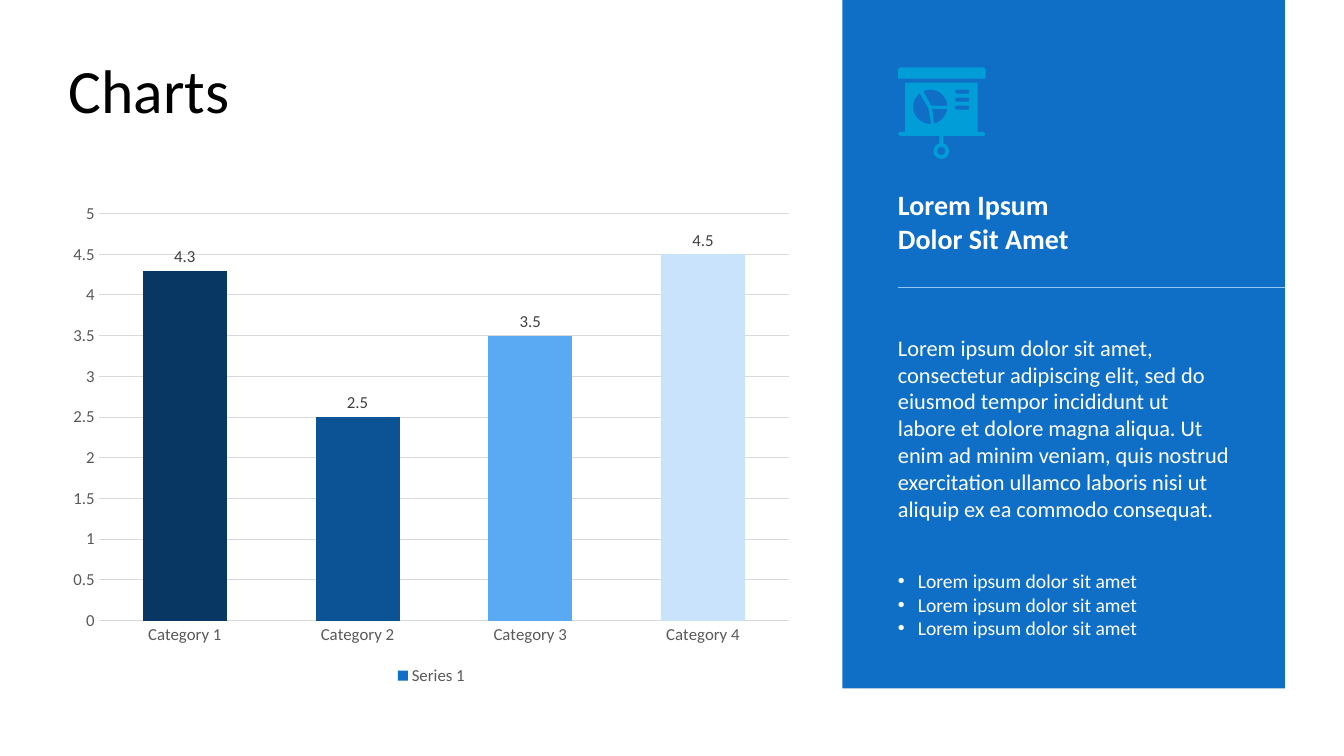
from math import cos, radians, sin

from lxml import etree
from pptx import Presentation
from pptx.chart.data import CategoryChartData
from pptx.dml.color import RGBColor
from pptx.enum.chart import (XL_CHART_TYPE, XL_LABEL_POSITION,
                             XL_LEGEND_POSITION, XL_TICK_MARK)
from pptx.enum.shapes import MSO_CONNECTOR, MSO_SHAPE
from pptx.enum.text import MSO_ANCHOR, MSO_AUTO_SIZE, PP_ALIGN
from pptx.oxml.ns import qn
from pptx.util import Cm, Pt

COLUMN = XL_CHART_TYPE.COLUMN_CLUSTERED
OUTSIDE = XL_LABEL_POSITION.OUTSIDE_END
BELOW = XL_LEGEND_POSITION.BOTTOM
NO_TICK = XL_TICK_MARK.NONE
LINE = MSO_CONNECTOR.STRAIGHT
RECT = MSO_SHAPE.RECTANGLE
MIDDLE, BOTTOM = MSO_ANCHOR.MIDDLE, MSO_ANCHOR.BOTTOM
LEFT = PP_ALIGN.LEFT
FIT = MSO_AUTO_SIZE.SHAPE_TO_FIT_TEXT

BLACK = RGBColor(0x00, 0x00, 0x00)
WHITE = RGBColor(0xFF, 0xFF, 0xFF)
BLUE = RGBColor(0x0F, 0x6F, 0xC6)
CYAN = RGBColor(0x00, 0x9D, 0xD9)
PALE = RGBColor(0x91, 0xC6, 0xF7)
GREY = RGBColor(0x59, 0x59, 0x59)
DARK = RGBColor(0x40, 0x40, 0x40)
GRID = RGBColor(0xD9, 0xD9, 0xD9)
BARS = [RGBColor(0x08, 0x37, 0x63), RGBColor(0x0B, 0x53, 0x94),
        RGBColor(0x59, 0xAA, 0xF2), RGBColor(0xC8, 0xE3, 0xFB)]

EDGE = 22.63    # left edge of the panel text, cm
WIDE = 8.38     # width of the panel text, cm
UNIT = 0.00254  # icon grid step, cm


def arc(x, y, r, start, end, steps=24):
    """Points on a circle, with angles in degrees clockwise from the right."""
    turns = [radians(start + (end - start) * i / steps) for i in range(steps + 1)]
    return [(x + r * cos(t), y + r * sin(t)) for t in turns]


class Deck:
    font = "Calibri"

    def __init__(self):
        self.prs = Presentation()
        self.prs.slide_width = Cm(33.87)
        self.prs.slide_height = Cm(19.05)
        self.slide = self.prs.slides.add_slide(self.prs.slide_layouts[5])
        self.shapes = self.slide.shapes

    def style(self, font, size, color, bold=False):
        font.name, font.size, font.bold = self.font, Pt(size), bold
        font.color.rgb = color

    def place(self, shape, *box):
        shape.left, shape.top, shape.width, shape.height = map(Cm, box)

    def title(self, text, *box):
        shape = self.shapes.title
        self.place(shape, *box)
        frame = shape.text_frame
        frame.text = text
        frame.vertical_anchor = MIDDLE
        para = frame.paragraphs[0]
        para.alignment, para.line_spacing = LEFT, 0.9
        self.style(para.runs[0].font, 44, BLACK)

    def chart(self, names, values, *box):
        data = CategoryChartData()
        data.categories = names
        data.add_series("Series 1", values)
        chart = self.shapes.add_chart(COLUMN, *map(Cm, box), data).chart
        chart.has_title = False
        self.style(chart.font, 10, BLACK)
        chart.has_legend = True
        chart.legend.position = BELOW
        chart.legend.include_in_layout = False
        self.style(chart.legend.font, 12, GREY)

        # Axes
        cats, vals = chart.category_axis, chart.value_axis
        for axis in (cats, vals):
            axis.major_tick_mark = axis.minor_tick_mark = NO_TICK
            self.style(axis.tick_labels.font, 12, GREY)
        vals.minimum_scale, vals.maximum_scale, vals.major_unit = 0, 5, 0.5
        vals.format.line.fill.background()
        for part in (cats, vals.major_gridlines):
            part.format.line.color.rgb = GRID
            part.format.line.width = Pt(0.75)

        # Columns
        plot = chart.plots[0]
        plot.gap_width, plot.overlap = 106, -17
        plot.vary_by_categories = False
        series = plot.series[0]
        series.format.fill.solid()
        series.format.fill.fore_color.rgb = BLUE
        for i, color in enumerate(BARS):
            fill = series.points[i].format.fill
            fill.solid()
            fill.fore_color.rgb = color
        labels = series.data_labels
        labels.show_value, labels.position = True, OUTSIDE
        self.style(labels.font, 12, DARK)

    def paint(self, shape, color):
        shape.shadow.inherit = False
        shape.fill.solid()
        shape.fill.fore_color.rgb = color
        shape.line.fill.background()

    def panel(self, *box):
        self.paint(self.shapes.add_shape(RECT, *map(Cm, box)), BLUE)

    def text(self, lines, size, top, height, anchor=MIDDLE, bold=False,
             after=0, dots=False):
        box = self.shapes.add_textbox(Cm(EDGE), Cm(top), Cm(WIDE), Cm(height))
        frame = box.text_frame
        frame.text = "\n".join(lines)
        frame.word_wrap, frame.auto_size = True, FIT
        frame.vertical_anchor = anchor
        frame.margin_left = frame.margin_right = 0
        frame.margin_top = frame.margin_bottom = 0
        for para in frame.paragraphs:
            para.alignment, para.space_after = LEFT, Pt(after)
            if dots:
                self.bullet(para)
            self.style(para.runs[0].font, size, WHITE, bold)

    def bullet(self, para):
        props = para._p.get_or_add_pPr()
        props.set("marL", str(Cm(0.5)))
        props.set("indent", str(-Cm(0.5)))
        etree.SubElement(props, qn("a:buFont")).set("typeface", "Arial")
        etree.SubElement(props, qn("a:buChar")).set("char", "•")

    def rule(self, x, y, end):
        line = self.shapes.add_connector(LINE, Cm(x), Cm(y), Cm(end), Cm(y))
        line.line.color.rgb = PALE
        line.line.width = Pt(0.5)
        etree.SubElement(line._element.spPr, qn("a:effectLst"))

    def icon(self, parts, x, y):
        group = self.shapes.add_group_shape()
        for loops in parts:
            first, *rest = loops
            pen = group.shapes.build_freeform(*first[0], scale=Cm(UNIT))
            pen.add_line_segments(first[1:])
            for loop in rest:
                pen.move_to(*loop[0])
                pen.add_line_segments(loop[1:])
            self.paint(pen.convert_to_shape(Cm(x), Cm(y)), CYAN)


def board():
    """Contours of the presentation board: the rail, then the screen."""
    rail = [(0, 110), (0, 20), (20, 0), (850, 0), (870, 20), (870, 110)]
    screen = [(850, 640), (790, 640), (790, 150), (70, 150), (70, 640),
              (20, 640), (0, 660), (20, 680), (410, 680),
              *arc(430, 830, 77, 255, -75),
              (450, 680), (850, 680), (870, 660)]
    ring = arc(430, 830, 40, 0, 360)
    pie = [[*arc(320, 390, 170, start, end), tip] for start, end, tip in (
        (87, 232, (300, 400)), (77, 7, (340, 410)), (246, 357, (330, 380)))]
    bars = [[(580, y), (700, y), (710, y + 20), (700, y + 40),
             (580, y + 40), (560, y + 20)] for y in (220, 300, 380)]
    return [[rail], [screen, ring, *pie, *bars]]


def main():
    deck = Deck()

    # Title and chart
    deck.title("Charts", 1.47, 1.12, 30.91, 2.46)
    names = [f"Category {i}" for i in range(1, 5)]
    deck.chart(names, (4.3, 2.5, 3.5, 4.5), 1.47, 4.88, 18.8, 12.5)

    # Side panel
    deck.panel(21.23, 0, 11.15, 17.35)
    deck.text(["Lorem ipsum dolor sit amet, consectetur adipiscing elit, sed do "
               "eiusmod tempor incididunt ut labore et dolore magna aliqua. Ut "
               "enim ad minim veniam, quis nostrud exercitation ullamco laboris "
               "nisi ut aliquip ex ea commodo consequat."],
              16, 8.05, 5.46, after=3)
    deck.text(["Lorem Ipsum", "Dolor Sit Amet"], 20, 4.72, 1.7, BOTTOM, bold=True)
    deck.rule(EDGE, 7.24, 32.38)
    deck.icon(board(), EDGE, 1.7)
    deck.text(["Lorem ipsum dolor sit amet"] * 3, 14, 14.33, 1.8, dots=True)

    deck.prs.save("out.pptx")


if __name__ == "__main__":
    main()
